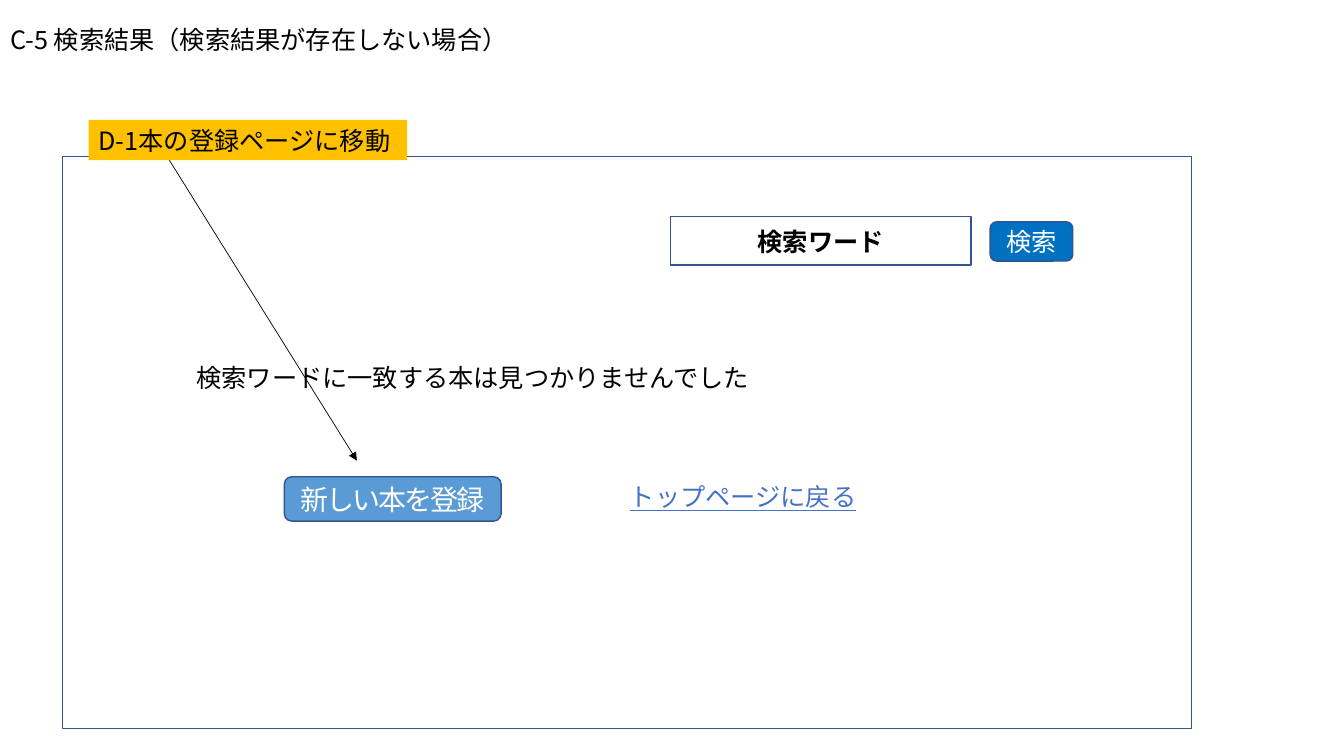
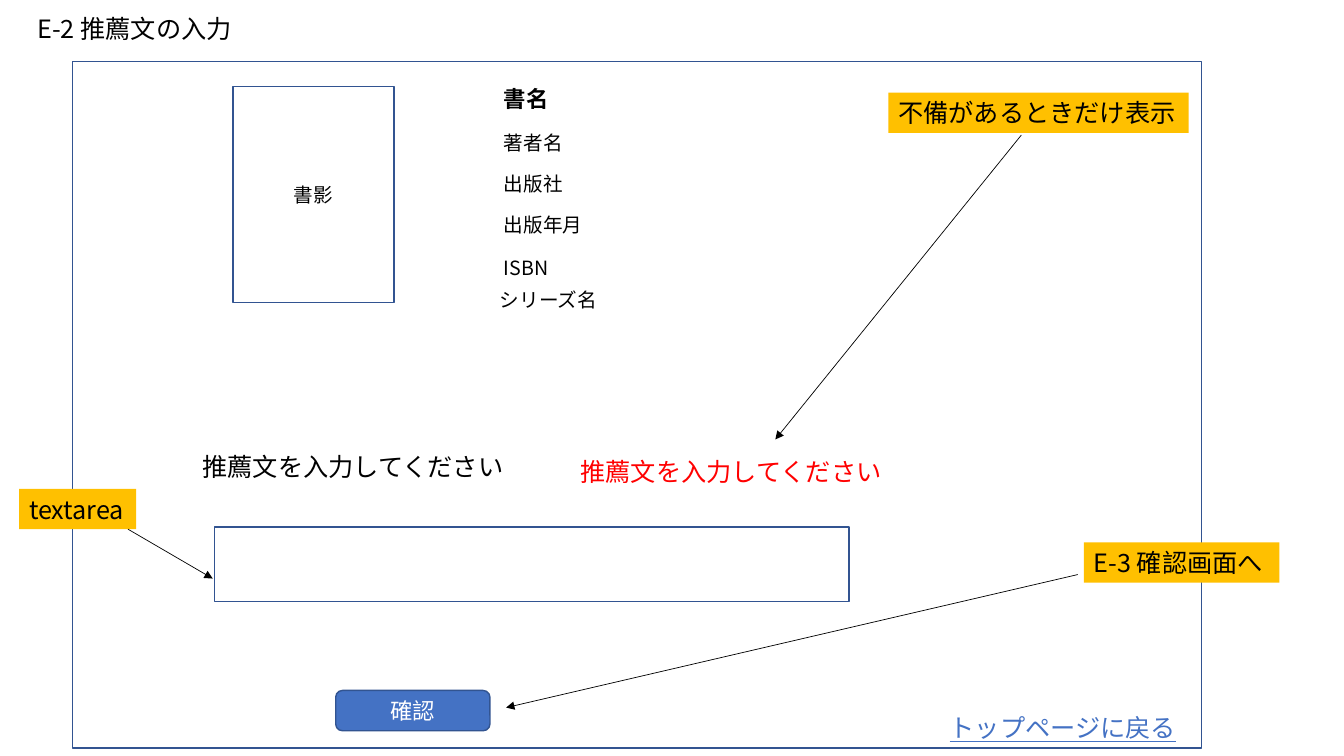
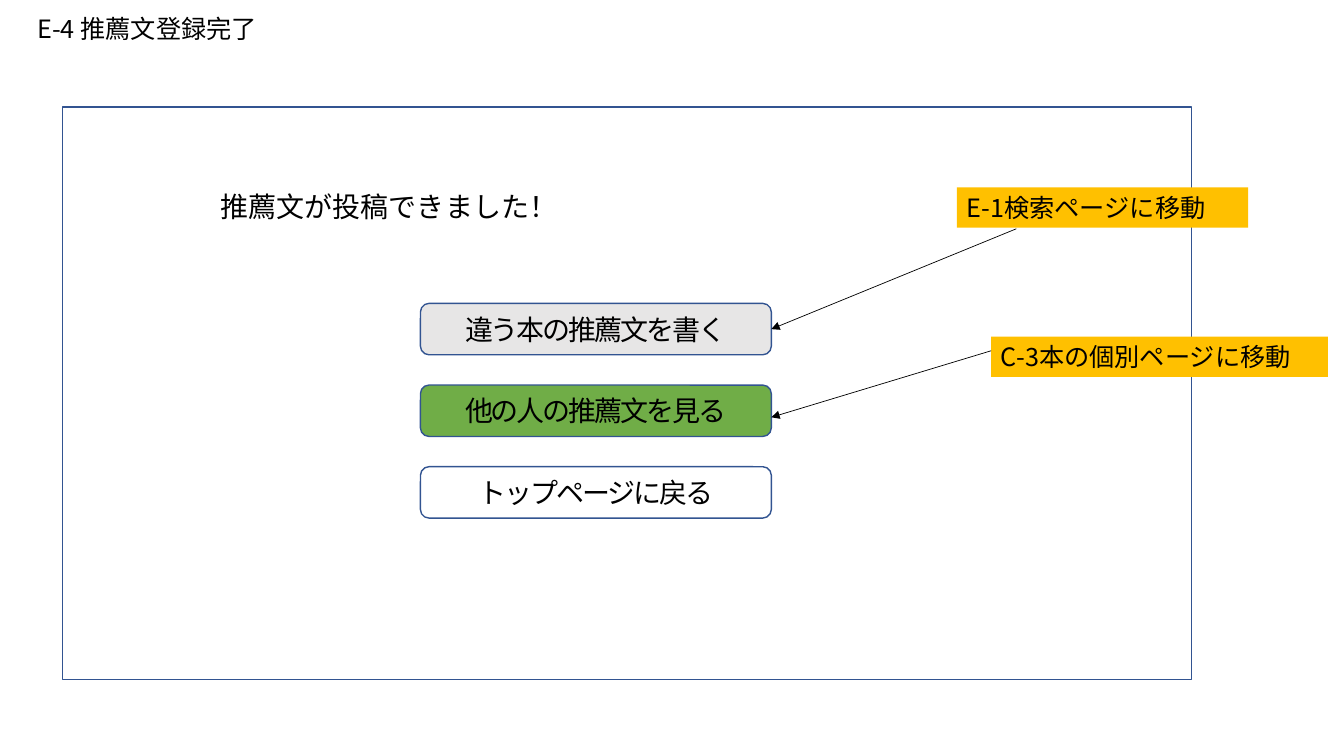
import pptx
import pptx.dml.color
import pptx.enum.shapes
import pptx.enum.text
import pptx.oxml.ns
import pptx.util
from lxml import etree
from pptx.util import Inches

RGBColor = pptx.dml.color.RGBColor
MSO_SHAPE = pptx.enum.shapes.MSO_SHAPE
PP_ALIGN = pptx.enum.text.PP_ALIGN
MSO_ANCHOR = pptx.enum.text.MSO_ANCHOR
qn = pptx.oxml.ns.qn

FONT = "Noto Sans CJK JP"
BLACK = RGBColor(0x00, 0x00, 0x00)
WHITE = RGBColor(0xFF, 0xFF, 0xFF)
RED = RGBColor(0xFF, 0x00, 0x00)
OUTLINE = RGBColor(0x32, 0x54, 0x91)
BLUE = RGBColor(0x44, 0x72, 0xC4)
DEEP_BLUE = RGBColor(0x00, 0x70, 0xC0)
LIGHT_BLUE = RGBColor(0x5B, 0x9B, 0xD5)
AMBER = RGBColor(0xFF, 0xC0, 0x00)
GREY = RGBColor(0xE7, 0xE6, 0xE6)
GREEN = RGBColor(0x70, 0xAD, 0x47)

LINE_HEIGHT = 0.4
FRAME_WIDTH = 11.2
TOP_PAGE_LINK = "トップページに戻る"


def write_text(shape, text, size=18, color=BLACK, bold=False, underline=False,
               spacing=None, centred=False, wrap=False):
    frame = shape.text_frame
    frame.auto_size = pptx.enum.text.MSO_AUTO_SIZE.NONE
    frame.word_wrap = wrap
    frame.vertical_anchor = MSO_ANCHOR.MIDDLE if centred else MSO_ANCHOR.TOP
    paragraph = frame.paragraphs[0]
    paragraph.alignment = PP_ALIGN.CENTER if centred else PP_ALIGN.LEFT
    run = paragraph.add_run()
    run.text = text
    font = run.font
    font.size = pptx.util.Pt(size)
    font.bold = bold
    font.underline = underline
    font.color.rgb = color
    font.name = FONT
    properties = run._r.get_or_add_rPr()
    etree.SubElement(properties, qn("a:ea")).set("typeface", FONT)
    if spacing is not None:
        properties.set("spc", str(round(spacing * 100)))


def add_page(presentation, title, left, top, width):
    """Add a slide whose title placeholder holds the screen's name."""
    slide = presentation.slides.add_slide(presentation.slide_layouts[5])
    shape = slide.shapes.title
    shape.left, shape.top = Inches(left), Inches(top)
    shape.width, shape.height = Inches(width), Inches(LINE_HEIGHT)
    write_text(shape, title)
    return slide


def add_text(slide, text, left, top, width, height=LINE_HEIGHT, **style):
    shape = slide.shapes.add_textbox(
        Inches(left), Inches(top), Inches(width), Inches(height))
    write_text(shape, text, **style)


def add_link(slide, left, top):
    add_text(slide, TOP_PAGE_LINK, left, top, 2.47, color=BLUE, underline=True)


def add_box(slide, left, top, width, height, fill=None, outline=OUTLINE,
            kind=MSO_SHAPE.RECTANGLE):
    shape = slide.shapes.add_shape(
        kind, Inches(left), Inches(top), Inches(width), Inches(height))
    shape.shadow.inherit = False
    if fill is None:
        shape.fill.background()
    else:
        shape.fill.solid()
        shape.fill.fore_color.rgb = fill
    if outline is None:
        shape.line.fill.background()
    else:
        shape.line.color.rgb = outline
        shape.line.width = pptx.util.Pt(1)
    return shape


def add_button(slide, text, left, top, width, height, fill=None, **style):
    shape = add_box(slide, left, top, width, height, fill,
                    kind=MSO_SHAPE.ROUNDED_RECTANGLE)
    write_text(shape, text, centred=True, **style)
    return shape


def add_callout(slide, text, left, top, width):
    """Add an amber label that explains a part of the screen."""
    shape = add_box(slide, left, top, width, LINE_HEIGHT, AMBER, outline=None)
    write_text(shape, text)


def add_arrow(slide, start, end):
    connector = slide.shapes.add_connector(
        pptx.enum.shapes.MSO_CONNECTOR.STRAIGHT,
        *(Inches(length) for length in (*start, *end)))
    connector.line.color.rgb = BLACK
    connector.line.width = pptx.util.Pt(0.5)
    line = connector.line._get_or_add_ln()
    etree.SubElement(line, qn("a:tailEnd")).set("type", "triangle")
    etree.SubElement(connector._element.spPr, qn("a:effectLst"))
    return connector


def build_no_results(presentation):
    slide = add_page(presentation, "C-5 検索結果（検索結果が存在しない場合）",
                     0, 0.19, 5.23)
    add_box(slide, 0.62, 1.55, FRAME_WIDTH, 5.68)
    add_text(slide, "検索ワードに一致する本は見つかりませんでした", 1.85, 3.55, 5.76)
    search_field = add_box(slide, 6.65, 2.15, 2.98, 0.48)
    write_text(search_field, "検索ワード", bold=True, centred=True)
    add_button(slide, "検索", 9.82, 2.2, 0.82, 0.39, DEEP_BLUE, color=WHITE)
    add_button(slide, "新しい本を登録", 2.82, 4.73, 2.15, 0.44, LIGHT_BLUE,
               size=20, color=WHITE, spacing=-1.5)
    add_link(slide, 6.15, 4.73)
    add_callout(slide, "D-1本の登録ページに移動", 0.88, 1.19, 3.16)
    add_arrow(slide, (1.68, 1.59), (3.54, 4.57))


def build_recommendation_form(presentation):
    slide = add_page(presentation, "E-2 推薦文の入力", 0.27, 0.08, 2.2)
    add_box(slide, 0.72, 0.61, FRAME_WIDTH, 6.81)
    cover = add_box(slide, 2.31, 0.86, 1.6, 2.14)
    write_text(cover, "書影", size=14, centred=True)

    add_text(slide, "書名", 4.9, 0.8, 0.76, 0.37, size=16, bold=True, wrap=True)
    book_details = (
        ("著者名", 4.9, 1.25),
        ("出版社", 4.9, 1.66),
        ("出版年月", 4.9, 2.06),
        ("ISBN", 4.9, 2.49),
        ("シリーズ名", 4.86, 2.81),
    )
    for text, left, top in book_details:
        add_text(slide, text, left, top, 1.6, 0.34, size=14, wrap=True)

    prompt = "推薦文を入力してください"
    add_text(slide, prompt, 1.91, 4.43, 3.23)
    add_text(slide, prompt, 5.66, 4.48, 3.23, color=RED)
    add_box(slide, 2.13, 5.23, 6.29, 0.74)
    add_button(slide, "確認", 3.33, 6.85, 1.53, 0.4, BLUE, size=16, color=WHITE)
    add_link(slide, 9.32, 7.02)

    add_callout(slide, "textarea", 0.19, 4.85, 1.16)
    add_arrow(slide, (1.27, 5.25), (2.11, 5.74))
    add_callout(slide, "不備があるときだけ表示", 8.81, 0.92, 2.98)
    add_arrow(slide, (10.13, 1.34), (7.69, 4.36))
    add_callout(slide, "E-3 確認画面へ", 10.75, 5.38, 1.94)
    add_arrow(slide, (10.69, 5.7), (5.02, 7.02))


def build_completion(presentation):
    slide = add_page(presentation, "E-4 推薦文登録完了", 0.27, 0.08, 2.45)
    add_box(slide, 0.62, 1.06, FRAME_WIDTH, 5.68)
    add_text(slide, "推薦文が投稿できました！", 2.09, 1.83, 3.57, 0.44, size=20)

    choices = (("違う本の推薦文を書く", GREY), ("他の人の推薦文を見る", GREEN),
               (TOP_PAGE_LINK, None))
    buttons = [
        add_button(slide, text, 4.17, 3.01 + 0.81 * row, 3.48, 0.51, fill,
                   size=20, spacing=-1.5)
        for row, (text, fill) in enumerate(choices)
    ]

    add_callout(slide, "E-1検索ページに移動", 9.49, 1.86, 2.89)
    search_arrow = add_arrow(slide, (10.08, 2.27), (7.65, 3.26))
    search_arrow.end_connect(buttons[0], 3)
    add_callout(slide, "C-3本の個別ページに移動", 9.83, 3.34, 3.34)
    add_arrow(slide, (9.83, 3.48), (7.65, 4.14))


def main():
    presentation = pptx.Presentation()
    presentation.slide_width = Inches(13.33)
    presentation.slide_height = Inches(7.5)
    build_no_results(presentation)
    build_recommendation_form(presentation)
    build_completion(presentation)
    presentation.save("out.pptx")


if __name__ == "__main__":
    main()
